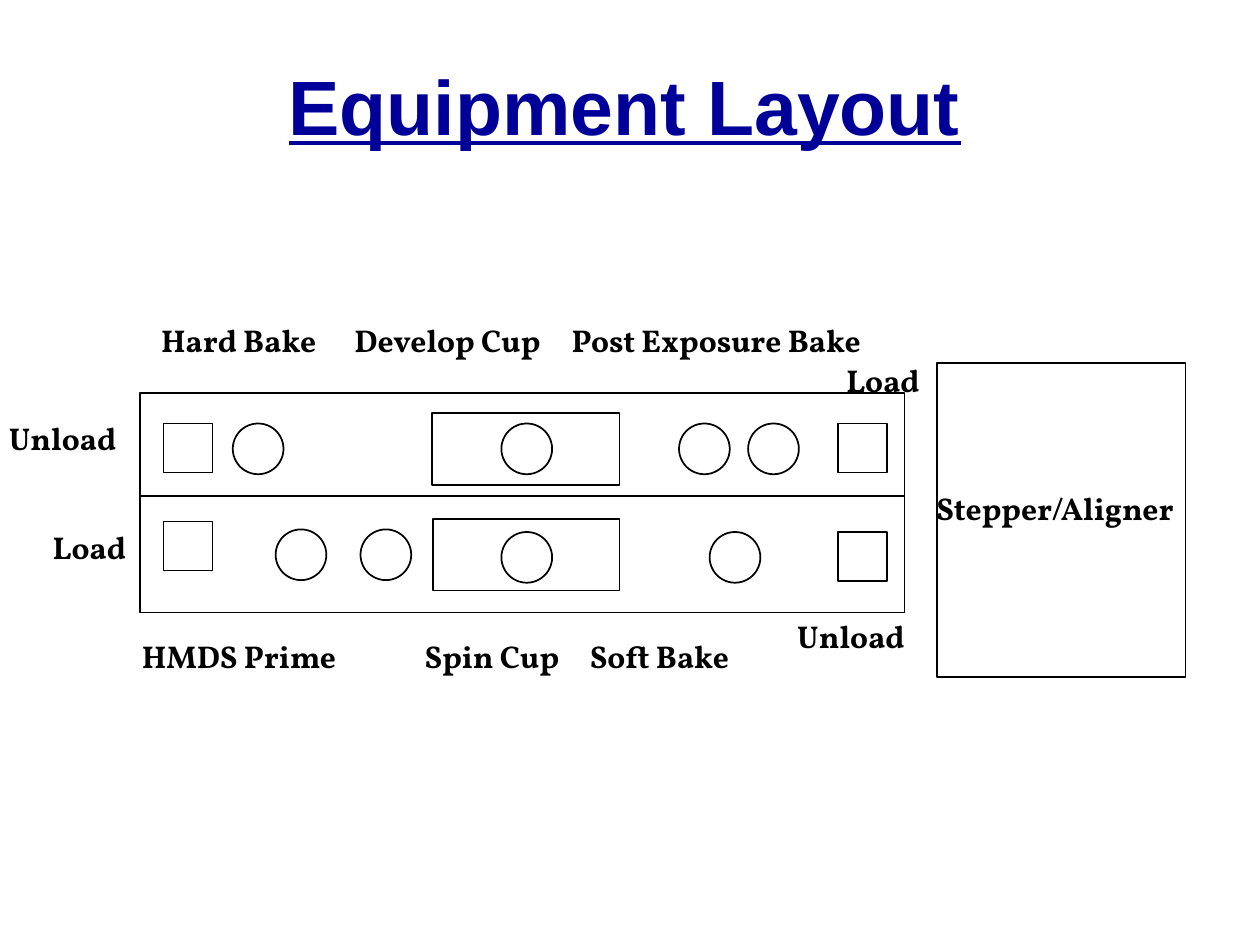
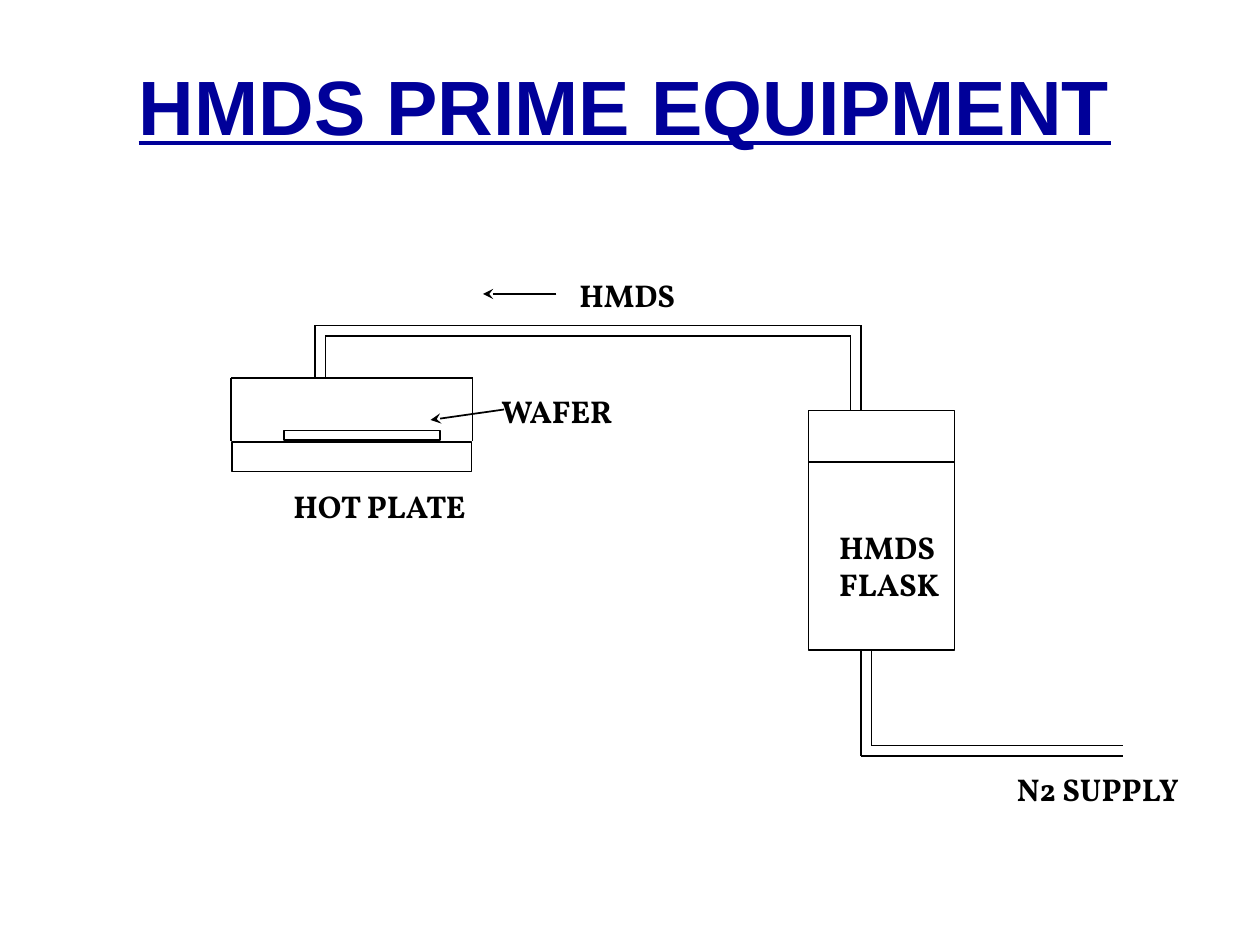
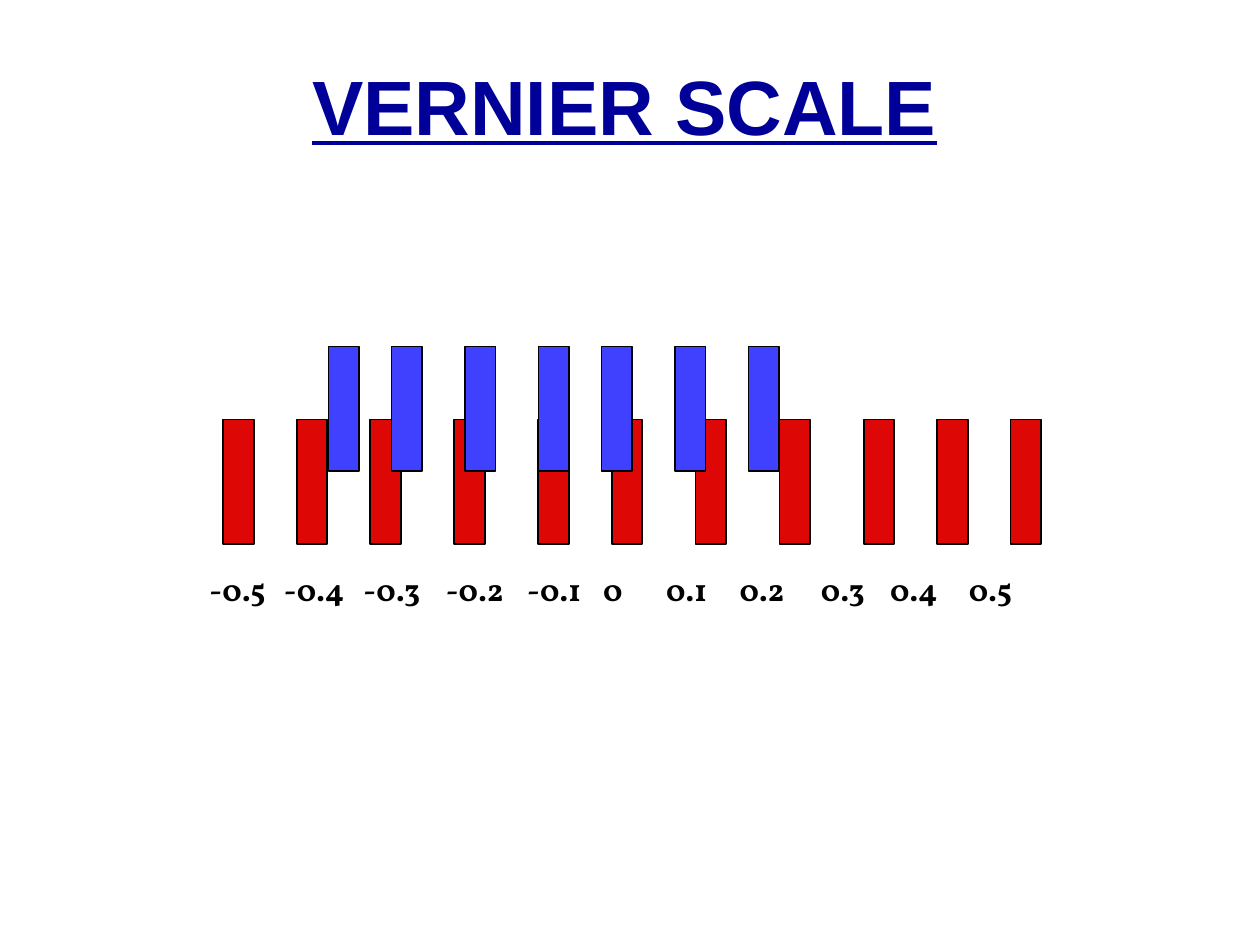
from collections.abc import Iterable
from itertools import accumulate, pairwise
from typing import NamedTuple

from pptx import Presentation
from pptx.dml.color import RGBColor
from pptx.enum.shapes import MSO_CONNECTOR as Link, MSO_SHAPE as Preset
from pptx.enum.text import MSO_ANCHOR as Anchor, PP_ALIGN as Align
from pptx.oxml.ns import qn
from pptx.presentation import Presentation as Deck
from pptx.shapes.shapetree import GroupShapes, SlideShapes
from pptx.slide import Slide
from pptx.text.text import Font
from pptx.util import Pt
from lxml.etree import SubElement

Canvas = SlideShapes | GroupShapes
Point = tuple[float, float]

NAVY, BLACK, WHITE = "000099", "000000", "FFFFFF"
RED, BLUE = "DD0806", "4040FF"
TITLE_FONT, LABEL_FONT = "Arial", "Vollkorn"
LABEL_HEIGHT = 29


class Box(NamedTuple):
    left: float
    top: float
    width: float
    height: float
    preset: Preset = Preset.RECTANGLE
    fill: str = WHITE


class Label(NamedTuple):
    text: str
    left: float
    top: float
    width: float
    height: float = LABEL_HEIGHT
    stops: tuple[float, ...] = ()


def rgb(code: str) -> RGBColor:
    return RGBColor.from_string(code)


def set_font(font: Font, name: str, size: float, colour: str) -> None:
    font.name = name
    font.size = Pt(size)
    font.bold = True
    font.color.rgb = rgb(colour)


def add_titled_slide(deck: Deck, heading: str) -> Slide:
    slide = deck.slides.add_slide(deck.slide_layouts[5])
    title = slide.shapes.title
    title.left, title.top, title.width, title.height = map(Pt, (36, 18, 642, 90))
    title.text_frame.text = heading
    title.text_frame.vertical_anchor = Anchor.MIDDLE
    line = title.text_frame.paragraphs[0]
    line.alignment = Align.CENTER
    line.line_spacing = 0.9
    set_font(line.font, TITLE_FONT, 44, NAVY)
    line.font.underline = True
    return slide


def draw_boxes(canvas: Canvas, boxes: Iterable[Box]) -> None:
    for box in boxes:
        shape = canvas.add_shape(box.preset, *map(Pt, box[:4]))
        shape.shadow.inherit = False
        shape.fill.solid()
        shape.fill.fore_color.rgb = rgb(box.fill)
        shape.line.color.rgb = rgb(BLACK)
        shape.line.width = Pt(1)


def draw_labels(canvas: Canvas, labels: Iterable[Label]) -> None:
    for label in labels:
        frame = canvas.add_textbox(*map(Pt, label[1:5])).text_frame
        frame.word_wrap = True
        frame.text = label.text
        for paragraph in frame.paragraphs:
            if label.stops:
                tabs = SubElement(paragraph._p.get_or_add_pPr(), qn("a:tabLst"))
                for stop in label.stops:
                    SubElement(tabs, qn("a:tab"), pos=str(Pt(stop)), algn="l")
            set_font(paragraph.font, LABEL_FONT, 18, BLACK)


def draw_route(canvas: Canvas, *points: Point, arrow: bool = False) -> None:
    for start, end in pairwise(points):
        segment = canvas.add_connector(Link.STRAIGHT, *map(Pt, start + end))
        segment.line.color.rgb = rgb(BLACK)
        segment.line.width = Pt(1)
        properties = segment.element.spPr
        if arrow:
            SubElement(properties.find(qn("a:ln")), qn("a:tailEnd"), type="stealth")
        SubElement(properties, qn("a:effectLst"))


def wafer_spot(left: float, top: float) -> Box:
    return Box(left, top, 29, 29, Preset.OVAL)


def port(left: float, top: float) -> Box:
    return Box(left, top, 28, 28)


def build_equipment_layout(deck: Deck) -> None:
    canvas = add_titled_slide(deck, "Equipment Layout").shapes
    track = Box(80, 224.5, 437, 125.5)
    stepper = Box(535.5, 207.5, 142, 179.5)
    develop_cup = Box(247, 236, 107, 41)
    spin_cup = Box(247.5, 296.5, 106.5, 41)
    develop_spots = [wafer_spot(left, 242) for left in (133, 286.5, 388, 427.5)]
    coat_spots = [
        wafer_spot(left, top)
        for left, top in ((157.5, 302.5), (206, 302.5), (286.5, 304), (405.5, 304))
    ]
    ports = [
        port(left, top)
        for left, top in ((93.5, 242), (93.5, 298), (479, 242), (479, 304))
    ]
    draw_boxes(canvas, [track, stepper, develop_cup, spin_cup])
    draw_route(canvas, (79.5, 283.5), (517, 283.5))
    draw_boxes(canvas, develop_spots + coat_spots + ports)
    draw_labels(canvas, [
        Label("Hard Bake\tDevelop Cup\tPost Exposure Bake", 85, 180, 465,
              stops=(110.5, 234.5)),
        Label("HMDS Prime\tSpin Cup\tSoft Bake", 74, 360.5, 386,
              stops=(161.5, 256)),
        Label("Stepper/Aligner", 528, 276, 159),
        Label("Unload", -2, 236, 80),
        Label("Load", 23, 298, 60),
        Label("Load", 476.5, 202.5, 60),
        Label("Unload", 448.5, 349, 80),
    ])


def build_prime_equipment(deck: Deck) -> None:
    canvas = add_titled_slide(deck, "HMDS PRIME EQUIPMENT").shapes
    flask = Box(462, 234.5, 83.5, 137)
    hot_plate = Box(132.5, 252.5, 137, 17)
    wafer = Box(162.5, 246, 89, 5.5)
    draw_boxes(canvas, [flask, hot_plate, wafer])

    chamber = ((132, 252), (132, 216), (270, 216), (270, 252))
    vapour_outer = ((180, 216), (180, 186), (492, 186), (492, 234))
    vapour_inner = ((186, 216), (186, 192), (486, 192), (486, 234))
    flask_level = ((462, 264), (546, 264))
    supply_outer = ((492, 372), (492, 432), (642, 432))
    supply_inner = ((498, 372), (498, 426), (642, 426))
    for route in (chamber, vapour_outer, vapour_inner,
                  flask_level, supply_outer, supply_inner):
        draw_route(canvas, *route)
    draw_route(canvas, (318, 168), (276, 168), arrow=True)
    draw_route(canvas, (288, 234), (246, 240), arrow=True)

    draw_labels(canvas, [
        Label("HMDS", 324, 154, 71),
        Label("WAFER", 279.5, 220.5, 83),
        Label("HOT PLATE", 160.5, 274.5, 120),
        Label("HMDS\nFLASK", 472.5, 298, 75, 50.5),
        Label("N2 SUPPLY", 574, 436.5, 114.5),
    ])


def draw_scale(canvas: Canvas, start: float, gaps: tuple[int, ...],
               top: float, fill: str) -> None:
    lefts = accumulate(gaps, initial=start)
    draw_boxes(canvas, (Box(left, top, 17.5, 71.25, fill=fill) for left in lefts))


def build_vernier_scale(deck: Deck) -> None:
    canvas = add_titled_slide(deck, "VERNIER SCALE").shapes
    main_scale = canvas.add_group_shape().shapes
    draw_scale(main_scale, 127.5, (42, 42, 48, 48, 42, 48, 48, 48, 42, 42),
               239.75, RED)
    draw_labels(main_scale, [
        Label("-0.5\t-0.4\t-0.3\t-0.2\t-0.1", 112.5, 322, 235,
              stops=(42.5, 88, 135, 181.5)),
        Label("0\t0.1\t0.2\t0.3\t0.4\t0.5", 337.5, 322, 278,
              stops=(36, 78, 124.5, 164, 209)),
    ])
    vernier = canvas.add_group_shape().shapes
    draw_scale(vernier, 187.75, (36, 42, 42, 36, 42, 42), 198, BLUE)


def main() -> None:
    deck = Presentation()
    deck.slide_width, deck.slide_height = Pt(720), Pt(540)
    build_equipment_layout(deck)
    build_prime_equipment(deck)
    build_vernier_scale(deck)
    deck.save("out.pptx")


if __name__ == "__main__":
    main()
